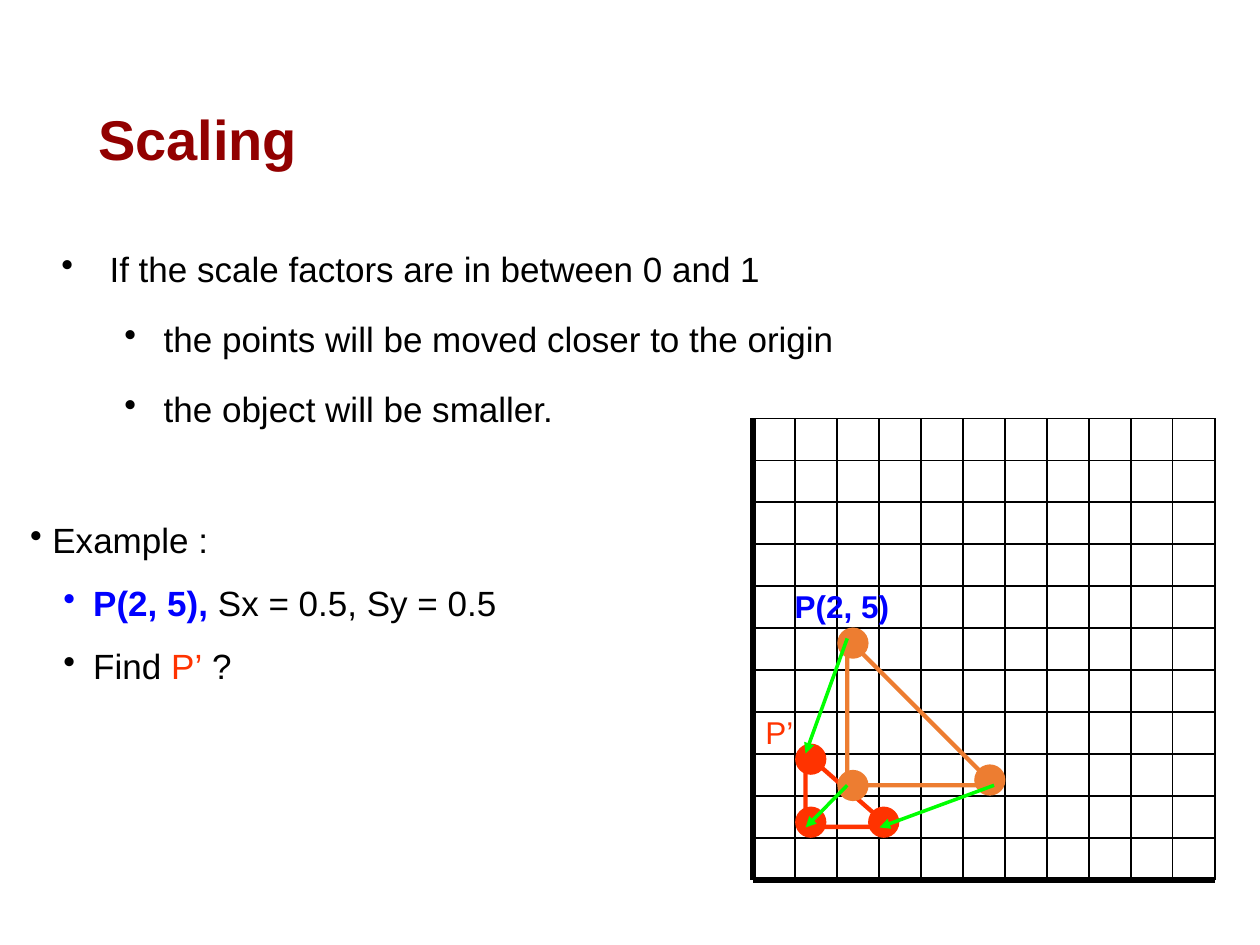
from lxml import etree
from pptx import Presentation
from pptx.dml.color import RGBColor
from pptx.enum.shapes import MSO_CONNECTOR, MSO_SHAPE
from pptx.oxml.ns import qn
from pptx.util import Cm, Pt

STRAIGHT = MSO_CONNECTOR.STRAIGHT
OVAL = MSO_SHAPE.OVAL
RIGHT_TRIANGLE = MSO_SHAPE.RIGHT_TRIANGLE

BLACK, BLUE, RED = "000000", "0000FF", "FF3300"
ORANGE, GREEN, MAROON = "ED7D31", "00FF00", "920000"

GRID_LEFT, GRID_TOP, GRID_SIZE, GRID_CELLS = 15.18, 8.43, 9.31, 11
DOT_SIZE = 0.63


def color(value):
    return RGBColor.from_string(value)


def set_values(target, values):
    for name, value in values.items():
        setattr(target, name, value)


def add_bullet(paragraph, margin, indent):
    properties = paragraph._p.get_or_add_pPr()
    properties.set("marL", str(Cm(margin)))
    properties.set("indent", str(Cm(indent)))
    etree.SubElement(properties, qn("a:buChar")).set("char", "•")


def add_runs(paragraph, runs, size):
    for text, ink, bold in runs:
        run = paragraph.add_run()
        run.text = text
        set_values(run.font, {"name": "Arial", "size": Pt(size), "bold": bold})
        run.font.color.rgb = color(ink)


def add_text(slide, box, paragraphs, size, wrap=True):
    shape = slide.shapes.add_textbox(*(Cm(value) for value in box))
    frame = shape.text_frame
    frame.word_wrap = wrap
    for index, (runs, bullet, values) in enumerate(paragraphs):
        paragraph = frame.add_paragraph() if index else frame.paragraphs[0]
        if bullet:
            add_bullet(paragraph, *bullet)
        set_values(paragraph, values)
        add_runs(paragraph, runs, size)


def add_line(slide, start, end, ink, width, arrow=False):
    points = (Cm(value) for value in (*start, *end))
    line = slide.shapes.add_connector(STRAIGHT, *points)
    line.line.color.rgb = color(ink)
    line.line.width = Pt(width)
    if arrow:
        outline = line.line._get_or_add_ln()
        etree.SubElement(outline, qn("a:tailEnd")).set("type", "triangle")
    etree.SubElement(line._element.spPr, qn("a:effectLst"))


def add_dot(slide, left, top, ink):
    box = (left, top, DOT_SIZE, DOT_SIZE)
    shape = slide.shapes.add_shape(OVAL, *(Cm(value) for value in box))
    shape.shadow.inherit = False
    shape.fill.solid()
    shape.fill.fore_color.rgb = color(ink)
    shape.line.fill.background()


def add_triangle(slide, box, dots, ink):
    for left, top in dots:
        add_dot(slide, left, top, ink)
    shape = slide.shapes.add_shape(RIGHT_TRIANGLE, *(Cm(value) for value in box))
    shape.shadow.inherit = False
    shape.fill.background()
    shape.line.color.rgb = color(ink)
    shape.line.width = Pt(2.5)


def add_grid(slide):
    right, bottom = GRID_LEFT + GRID_SIZE, GRID_TOP + GRID_SIZE
    for index in range(GRID_CELLS + 1):
        offset = index * GRID_SIZE / GRID_CELLS
        width = 0.75 if index else 3
        x, y = GRID_LEFT + offset, bottom - offset
        add_line(slide, (x, GRID_TOP), (x, bottom), BLACK, width)
        add_line(slide, (GRID_LEFT, y), (right, y), BLACK, width)


def add_body(slide):
    first = {"line_spacing": 1.5}
    following = {"line_spacing": 1.5, "space_before": Pt(4), "level": 1}
    add_text(slide, (0.99, 4.45, 20.96, 4.88), [
        ([("If the scale factors are in between 0 and 1", BLACK, False)],
         (0.97, -0.97), first),
        ([("the points will be moved closer to the origin", BLACK, False)],
         (2.06, -0.79), following),
        ([("the object will be smaller.", BLACK, False)],
         (2.06, -0.79), following),
    ], 20)


def add_example(slide):
    first = {"line_spacing": 1.5}
    nested = {"line_spacing": 1.5, "level": 1}
    add_text(slide, (0.36, 9.91, 12.7, 4.11), [
        ([(" Example :", BLACK, False)], (0, 0), first),
        ([("P(2, 5), ", BLUE, True), ("Sx = 0.5, Sy = 0.5", BLACK, False)],
         (1.27, -0.6), nested),
        ([("Find ", BLACK, False), ("P’", RED, False), (" ?", BLACK, False)],
         (1.27, -0.6), nested),
    ], 20)


def main():
    presentation = Presentation()
    presentation.slide_width = Cm(25.4)
    presentation.slide_height = Cm(19.05)
    slide = presentation.slides.add_slide(presentation.slide_layouts[6])

    add_body(slide)
    add_grid(slide)
    add_triangle(slide, (16.24, 15.19, 1.69, 1.48),
                 [(16.03, 16.26), (17.5, 16.26), (16.03, 14.99)], RED)
    add_triangle(slide, (17.08, 12.87, 2.96, 2.96),
                 [(16.88, 15.52), (19.64, 15.41), (16.88, 12.65)], ORANGE)

    moves = [
        ((17.08, 15.83), (16.24, 16.68)),
        ((17.08, 12.87), (16.24, 15.19)),
        ((20.04, 15.83), (17.73, 16.68)),
    ]
    for start, end in moves:
        add_line(slide, start, end, GREEN, 2, arrow=True)

    add_text(slide, (15.77, 11.71, 2.44, 1.02),
             [([("P(2, 5)", BLUE, True)], None, {})], 18, wrap=False)
    add_text(slide, (15.18, 14.25, 1.12, 1.02),
             [([("P’", RED, False)], None, {})], 18, wrap=False)
    add_example(slide)
    add_text(slide, (1.73, 2.13, 21.89, 3.68),
             [([("Scaling", MAROON, True)], None, {"line_spacing": 0.9})], 32)

    presentation.save("out.pptx")


if __name__ == "__main__":
    main()
